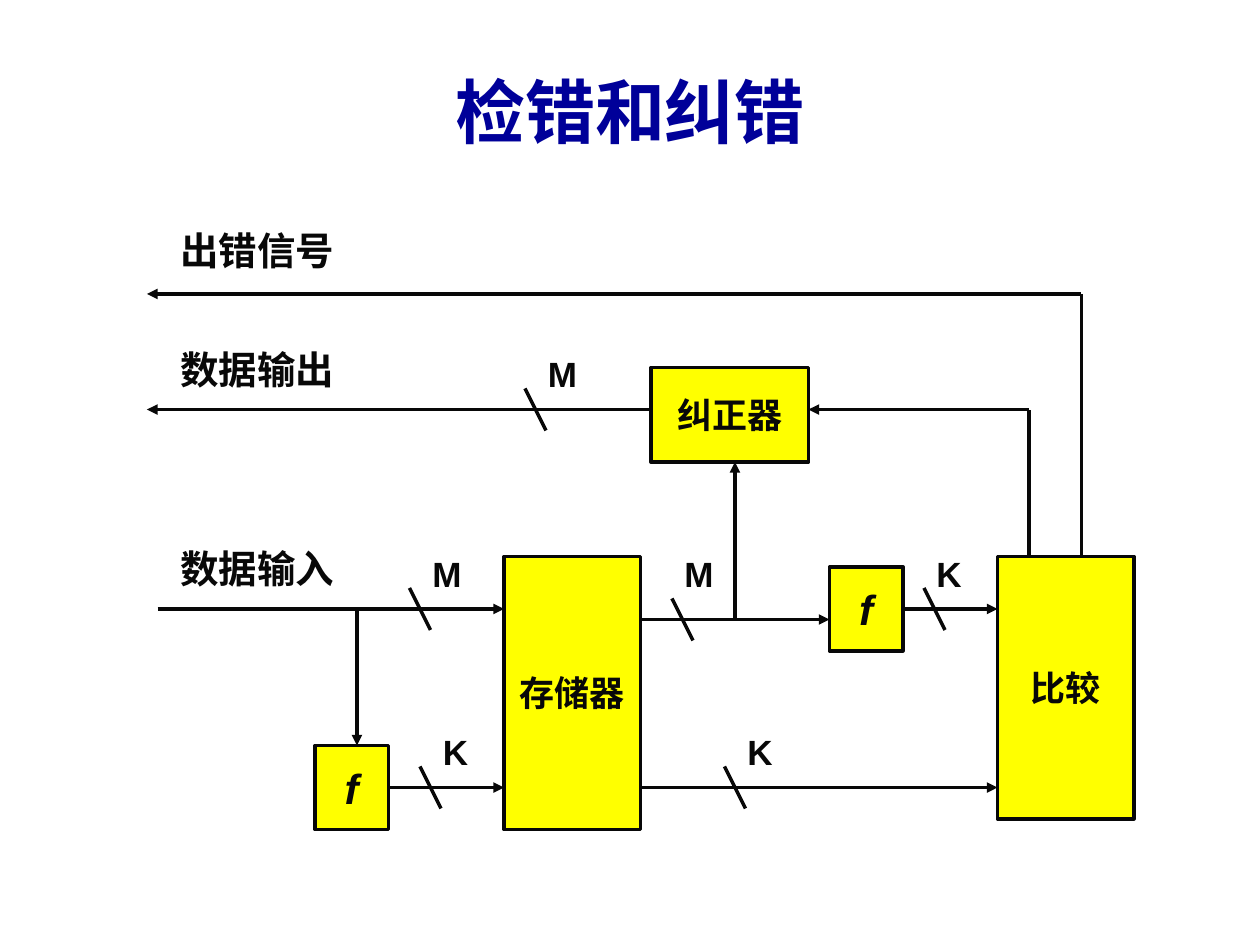
import pptx
import pptx.dml.color
import pptx.enum.shapes
import pptx.enum.text
import pptx.oxml
import pptx.oxml.ns
import pptx.util
from pptx.util import Pt

FONT = "Arial"
INK, YELLOW, NAVY = "080808", "FFFF00", "000099"
PP_ALIGN = pptx.enum.text.PP_ALIGN
ANCHOR = pptx.enum.text.MSO_ANCHOR

TITLE = "检错和纠错"

# name: (text, left, top, width, height)
BLOCKS = {
    "input code": ("f", 180, 426, 42, 48),
    "memory": ("存储器", 288, 318, 78, 156),
    "compare": ("比较", 570, 318, 78, 150),
    "output code": ("f", 474, 324, 42, 48),
    "corrector": ("纠正器", 372, 210, 90, 54),
}

# (from x, from y, to x, to y, block whose right side middle is the start)
ARROWS = [
    (222, 450, 288, 450, "input code"),
    (366, 450, 570, 450, None),
    (90, 348, 288, 348, None),
    (204, 348, 204, 426, None),
    (366, 354, 474, 354, None),
    (516, 348, 570, 348, "output code"),
    (420, 354, 420, 264, None),
    (588, 234, 462, 234, None),
    (372, 234, 84, 234, None),
    (618, 168, 84, 168, None),
]
RISERS = [(588, 318, 588, 234), (618, 318, 618, 168)]

# (text, label left, label top, slash left, slash top)
BUS_WIDTHS = [
    ("M", 306, 198, 300, 222),
    ("M", 240, 312, 234, 336),
    ("M", 384, 312, 384, 342),
    ("K", 528, 312, 528, 336),
    ("K", 420, 414, 414, 438),
    ("K", 246, 414, 240, 438),
]
SLASH_WIDTH, SLASH_HEIGHT = 12, 24

SIGNAL_LEFT = 96
SIGNALS = [("出错信号", 126), ("数据输出", 194), ("数据输入", 308)]


def rgb(code):
    return pptx.dml.color.RGBColor.from_string(code)


def write(shape, text, size=20, color=INK, italic=False,
          align=PP_ALIGN.LEFT, anchor=ANCHOR.TOP, wrap=True):
    frame = shape.text_frame
    frame.auto_size = pptx.enum.text.MSO_AUTO_SIZE.NONE
    frame.word_wrap = wrap
    frame.vertical_anchor = anchor
    paragraph = frame.paragraphs[0]
    paragraph.alignment = align
    run = paragraph.add_run()
    run.text = text
    run.font.name = FONT
    run.font.size = Pt(size)
    run.font.bold = True
    run.font.italic = italic
    run.font.color.rgb = rgb(color)


def add_label(slide, text, left, top, width, height, **text_format):
    box = slide.shapes.add_textbox(Pt(left), Pt(top), Pt(width), Pt(height))
    write(box, text, **text_format)


def add_block(slide, text, left, top, width, height):
    block = slide.shapes.add_shape(
        pptx.enum.shapes.MSO_SHAPE.RECTANGLE,
        Pt(left), Pt(top), Pt(width), Pt(height))
    block.shadow.inherit = False
    block.fill.solid()
    block.fill.fore_color.rgb = rgb(YELLOW)
    block.line.color.rgb = rgb(INK)
    block.line.width = Pt(2)
    is_function = text == "f"
    write(block, text, size=24 if is_function else 20, italic=is_function,
          align=PP_ALIGN.CENTER, anchor=ANCHOR.MIDDLE, wrap=False)
    return block


def add_line(slide, x1, y1, x2, y2, arrow=False):
    line = slide.shapes.add_connector(
        pptx.enum.shapes.MSO_CONNECTOR.STRAIGHT,
        Pt(x1), Pt(y1), Pt(x2), Pt(y2))
    line.line.color.rgb = rgb(INK)
    line.line.width = Pt(2)
    if arrow:
        head = pptx.oxml.parse_xml(
            f'<a:tailEnd {pptx.oxml.ns.nsdecls("a")} type="triangle"/>')
        line.line._get_or_add_ln().append(head)
    line._element.spPr.append(
        pptx.oxml.parse_xml(f'<a:effectLst {pptx.oxml.ns.nsdecls("a")}/>'))
    return line


def main():
    deck = pptx.Presentation()
    deck.slide_width, deck.slide_height = Pt(720), Pt(540)
    slide = deck.slides.add_slide(deck.slide_layouts.get_by_name("Title Only"))

    title = slide.shapes.title
    title.left, title.top, title.width, title.height = Pt(24), Pt(18), Pt(672), Pt(90)
    write(title, TITLE, size=40, color=NAVY,
          align=PP_ALIGN.CENTER, anchor=ANCHOR.MIDDLE)

    blocks = {name: add_block(slide, *block) for name, block in BLOCKS.items()}

    for *ends, source in ARROWS:
        arrow = add_line(slide, *ends, arrow=True)
        if source:
            arrow.begin_connect(blocks[source], 3)
    for riser in RISERS:
        add_line(slide, *riser)

    for text, left, top, slash_x, slash_y in BUS_WIDTHS:
        add_line(slide, slash_x, slash_y,
                 slash_x + SLASH_WIDTH, slash_y + SLASH_HEIGHT)
        add_label(slide, text, left, top, 42, 32)
    for text, top in SIGNALS:
        add_label(slide, text, SIGNAL_LEFT, top, 120, 34, size=22)

    deck.save("out.pptx")


if __name__ == "__main__":
    main()
